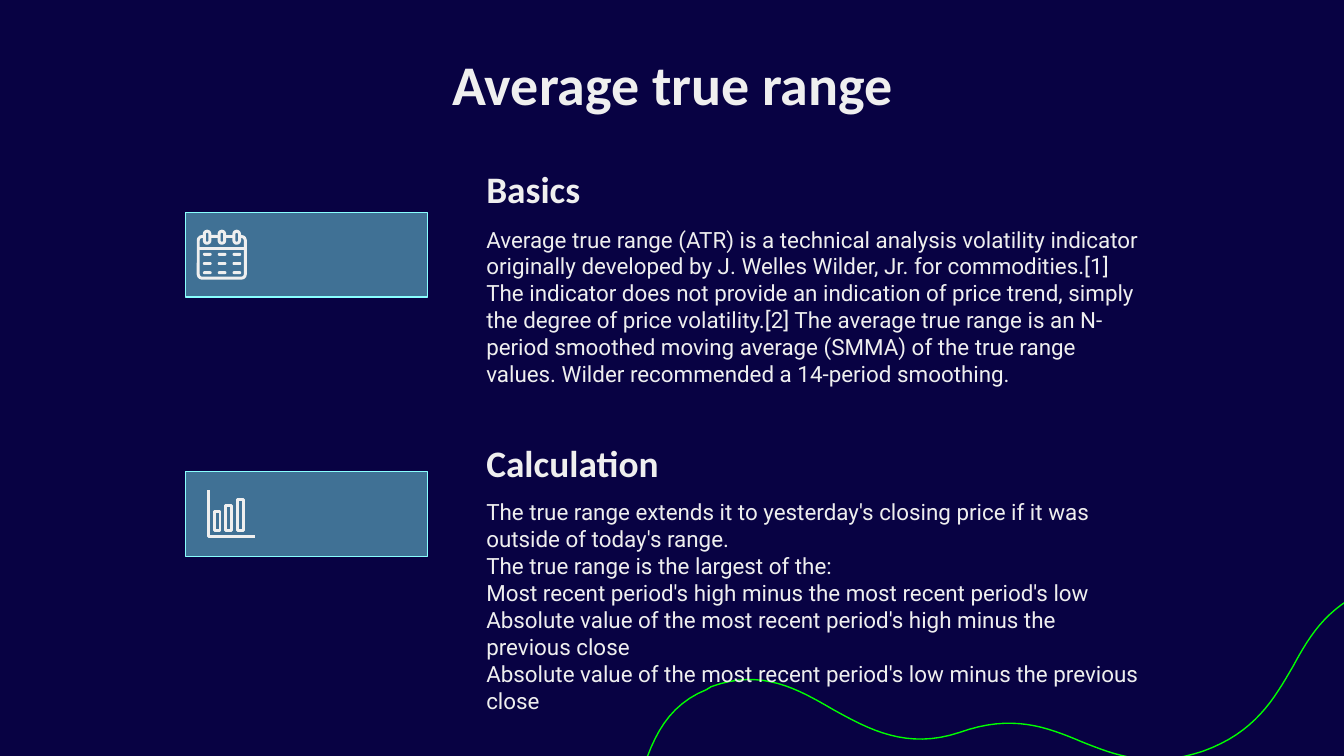
from dataclasses import dataclass
from itertools import product

from lxml.etree import SubElement
from pptx import Presentation
from pptx.dml.color import RGBColor as Rgb
from pptx.enum.shapes import MSO_SHAPE as Kind
from pptx.enum.text import MSO_ANCHOR as Anchor, PP_ALIGN as Align
from pptx.oxml.ns import qn
from pptx.util import Inches, Pt

WIDE, HIGH = Inches(10), Inches(5.625)
UNIT = WIDE / 100


@dataclass(frozen=True)
class Theme:
    back: str = "080243"
    ink: str = "EFEFEF"
    card: str = "89FFFF"
    blend: str = "417196"
    wave: str = "00FF00"
    alpha: int = 44
    head: str = "Calibri"
    body: str = "Roboto"
    title: float = 30
    sub: float = 20
    text: float = 12
    thin: float = 0.75
    bold: float = 1.6


@dataclass(frozen=True)
class Box:
    x: float
    y: float
    w: float
    h: float

    def emu(self) -> list[int]:
        return [span(v) for v in (self.x, self.y, self.w, self.h)]


@dataclass(frozen=True)
class Topic:
    name: str
    lines: tuple[str, ...]
    card: Box
    head: Box
    body: Box


LOOK = Theme()

TOPICS = (
    Topic(
        "Basics",
        ("Average true range (ATR) is a technical analysis volatility indicator "
         "originally developed by J. Welles Wilder, Jr. for commodities.[1] "
         "The indicator does not provide an indication of price trend, simply "
         "the degree of price volatility.[2] The average true range is an "
         "N-period smoothed moving average (SMMA) of the true range values. "
         "Wilder recommended a 14-period smoothing.",),
        Box(13.8, 15.8, 18, 6.3),
        Box(35.2, 10.9, 51, 5.8),
        Box(35.2, 15.8, 51, 11.4),
    ),
    Topic(
        "Calculation",
        ("The true range extends it to yesterday's closing price if it was "
         "outside of today's range.",
         "The true range is the largest of the:",
         "Most recent period's high minus the most recent period's low",
         "Absolute value of the most recent period's high minus the previous close",
         "Absolute value of the most recent period's low minus the previous close"),
        Box(13.8, 35.1, 18, 6.3),
        Box(35.2, 31.3, 51, 5.8),
        Box(35.2, 36.1, 51, 7),
    ),
)

WAVE = (
    (5.6, 68.6), (9.6, 67.2), (12.2, 68.3), (14.8, 69.4),
    (17.4, 70.6), (20, 71.7), (24, 70.5),
    (27.8, 69.4), (30.3, 70), (32.7, 70.5),
    (35, 71), (37.1, 71.6), (40, 70.5),
    (40.5, 70.4), (40.9, 70.2), (41.5, 69.9),
    (45.2, 68.1), (46.1, 64.2), (47, 60.4),
    (48, 56.5), (48.8, 52.8), (52.6, 51.3),
    (52.7, 51.2), (52.8, 51.2), (52.9, 51.1),
    (56.7, 49.7), (59.4, 51.3), (62, 52.8),
    (64.7, 54.3), (67.5, 55.8), (71.4, 54.5),
    (75.3, 53.1), (77.9, 54.1), (80.5, 55.2),
    (83, 56.2), (85.6, 57.2), (89.5, 55.9),
    (93.4, 54.5), (94.8, 52), (96.2, 49.6),
    (97.5, 47.2), (98.9, 44.8), (102.8, 43.5),
)


def span(size: float) -> int:
    return round(size * UNIT)


def ink(shape, line: str | None, fill: str | None, width: float) -> None:
    shape.shadow.inherit = False
    if fill:
        shape.fill.solid()
        shape.fill.fore_color.rgb = Rgb.from_string(fill)
    else:
        shape.fill.background()
    if line:
        shape.line.color.rgb = Rgb.from_string(line)
        shape.line.width = Pt(width)
    else:
        shape.line.fill.background()


def block(shapes, box: Box, kind=Kind.RECTANGLE, line: str | None = LOOK.ink,
          fill: str | None = None, width: float = LOOK.bold, curve: float = 0):
    shape = shapes.add_shape(kind, *box.emu())
    if kind == Kind.ROUNDED_RECTANGLE:
        shape.adjustments[0] = curve
    ink(shape, line, fill, width)
    return shape


def trace(shapes, points, color: str, width: float) -> None:
    start, *rest = [(span(x), span(y)) for x, y in points]
    pen = shapes.build_freeform(*start)
    pen.add_line_segments(rest, close=False)
    ink(pen.convert_to_shape(), color, None, width)


def smooth(knots, steps: int = 16) -> list[tuple[float, float]]:
    points = [knots[0]]
    for at in range(0, len(knots) - 1, 3):
        part = knots[at:at + 4]
        for step in range(1, steps + 1):
            t = step / steps
            share = ((1 - t) ** 3, 3 * t * (1 - t) ** 2, 3 * t * t * (1 - t), t ** 3)
            points.append(tuple(sum(s * p[i] for s, p in zip(share, part))
                                for i in (0, 1)))
    return points


def write(shape, lines, face: str, size: float, bold: bool = False,
          align=Align.LEFT, anchor=Anchor.TOP) -> None:
    frame = shape.text_frame
    frame.word_wrap = True
    frame.vertical_anchor = anchor
    frame.margin_left = frame.margin_right = span(1)
    frame.margin_top = frame.margin_bottom = span(1)
    frame.text = "\n".join(lines)
    for para in frame.paragraphs:
        para.alignment = align
        font = para.font
        font.name, font.size, font.bold = face, Pt(size), bold
        font.color.rgb = Rgb.from_string(LOOK.ink)


def topic(shapes, item: Topic) -> None:
    card = block(shapes, item.card, line=LOOK.card, fill=LOOK.card, width=LOOK.thin)
    tint = card.element.spPr.find(qn("a:solidFill")).find(qn("a:srgbClr"))
    SubElement(tint, qn("a:alpha")).set("val", str(LOOK.alpha * 1000))
    write(shapes.add_textbox(*item.head.emu()), (item.name,), LOOK.head,
          LOOK.sub, bold=True, anchor=Anchor.BOTTOM)
    write(shapes.add_textbox(*item.body.emu()), item.lines, LOOK.body, LOOK.text)


def dates(shapes) -> None:
    icon = shapes.add_group_shape().shapes
    pill = Kind.ROUNDED_RECTANGLE
    block(icon, Box(14.75, 17.6, 3.5, 3.1), pill, curve=0.09)
    trace(icon, ((14.75, 18.5), (18.25, 18.5)), LOOK.ink, LOOK.bold)
    cols = [15.1 + 1.1 * col for col in range(3)]
    for x in cols:
        block(icon, Box(x + 0.1, 17.2, 0.42, 0.9), pill, fill=LOOK.blend, curve=0.5)
    for x, row in product(cols, range(3)):
        block(icon, Box(x, 18.82 + 0.68 * row, 0.65, 0.22), pill,
              line=None, fill=LOOK.ink, curve=0.5)


def bars(shapes) -> None:
    icon = shapes.add_group_shape().shapes
    for col, top in enumerate((38.1, 37.65, 37.2)):
        block(icon, Box(15.93 + 0.88 * col, top, 0.45, 39.5 - top))
    trace(icon, ((15.5, 36.5), (15.5, 39.9), (18.95, 39.9)), LOOK.ink, LOOK.bold)


def main() -> None:
    deck = Presentation()
    deck.slide_width, deck.slide_height = WIDE, HIGH
    slide = deck.slides.add_slide(deck.slide_layouts[5])
    slide.background.fill.solid()
    slide.background.fill.fore_color.rgb = Rgb.from_string(LOOK.back)
    shapes = slide.shapes
    title = shapes.title
    title.left, title.top, title.width, title.height = Box(7.9, 2.7, 84.3, 6.3).emu()
    write(title, ("Average true range",), LOOK.head, LOOK.title,
          bold=True, align=Align.CENTER)
    trace(shapes, smooth(WAVE), LOOK.wave, LOOK.thin)
    for item, draw in zip(TOPICS, (dates, bars)):
        topic(shapes, item)
        draw(shapes)
    deck.save("out.pptx")


if __name__ == "__main__":
    main()
